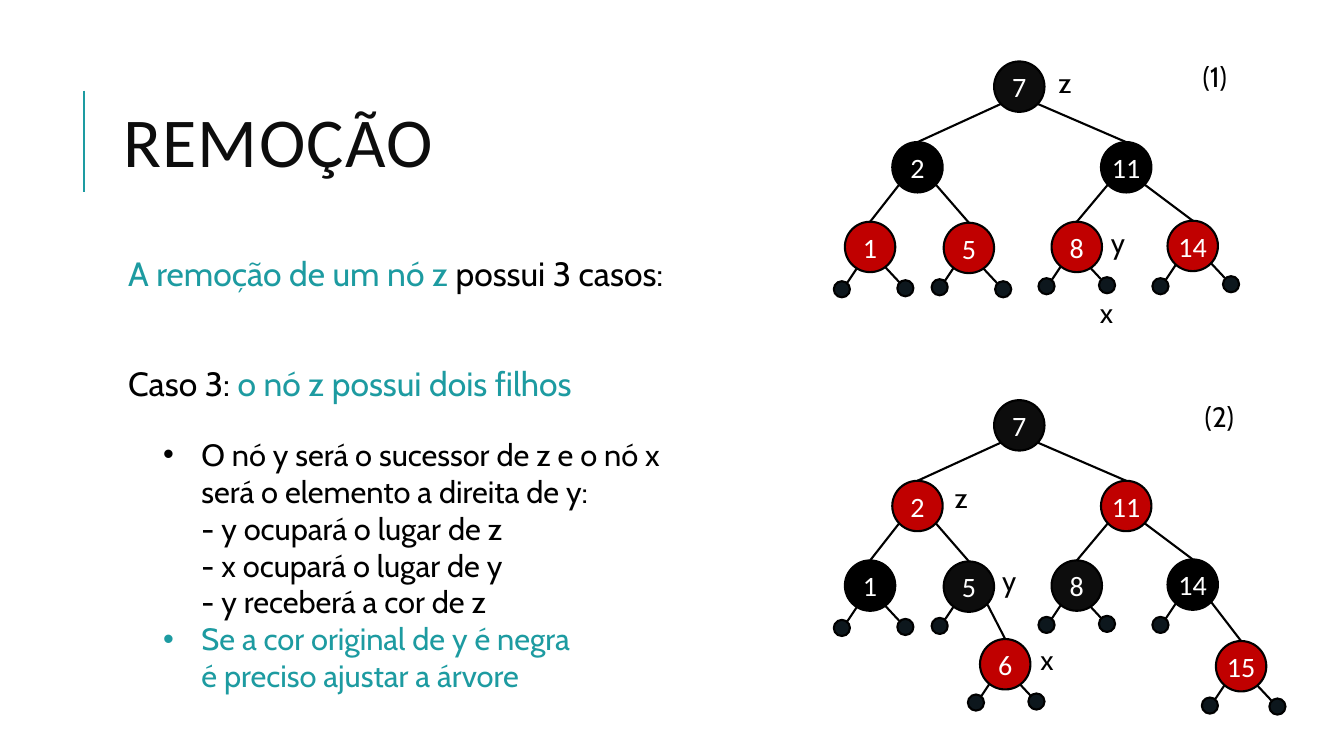
"""Builds the slide on removing a node with two children from a red-black tree."""
from dataclasses import dataclass

from lxml import etree
from pptx import Presentation
from pptx.dml.color import RGBColor
from pptx.enum.shapes import MSO_CONNECTOR, MSO_SHAPE
from pptx.enum.text import MSO_ANCHOR, MSO_AUTO_SIZE, PP_ALIGN
from pptx.oxml.ns import qn
from pptx.util import Inches, Pt

STRAIGHT = MSO_CONNECTOR.STRAIGHT
OVAL = MSO_SHAPE.OVAL
TOP, MIDDLE = MSO_ANCHOR.TOP, MSO_ANCHOR.MIDDLE
NO_FIT, GROW = MSO_AUTO_SIZE.NONE, MSO_AUTO_SIZE.SHAPE_TO_FIT_TEXT
LEFT, CENTER = PP_ALIGN.LEFT, PP_ALIGN.CENTER


@dataclass(frozen=True)
class Theme:
    """Colours, fonts and type sizes of the slide."""
    accent: str = "1D9BA1"
    title: str = "0D0D0D"
    text: str = "000000"
    white: str = "FFFFFF"
    red: str = "C00000"
    black: str = "000000"
    soft_black: str = "0D0D0D"
    leaf: str = "0D171D"
    head_font: str = "Calibri"
    body_font: str = "Cabin"
    title_size: int = 50
    body_size: int = 24
    list_size: int = 22
    label_size: int = 20
    line_width: float = 1.5


THEME = Theme()
RED, BLACK, SOFT = THEME.red, THEME.black, THEME.soft_black
NODE, DOT, TREE_STEP = 0.5, 0.16, 3.36

POSITIONS = {
    7: (9.86, 0.61), 2: (8.85, 1.41), 11: (10.92, 1.41),
    1: (8.38, 2.2), 5: (9.36, 2.21), 8: (10.43, 2.2), 14: (11.58, 2.19),
    6: (9.72, 2.98), 15: (12.06, 3.0),
}
LEAVES = {
    1: ((-0.11, 0.59), (0.52, 0.58)), 5: ((-0.12, 0.56), (0.51, 0.58)),
    8: ((-0.13, 0.56), (0.47, 0.55)), 14: ((-0.15, 0.57), (0.55, 0.55)),
    6: ((-0.12, 0.55), (0.48, 0.54)), 15: ((-0.14, 0.56), (0.53, 0.57)),
}
CHILDREN = {7: (2, 11), 2: (1, 5), 11: (8, 14)}
TREES = [
    ({7: SOFT, 2: BLACK, 11: BLACK, 1: RED, 5: RED, 8: RED, 14: RED},
     CHILDREN,
     [("z", 10.4, 0.6), ("y", 10.92, 2.19), ("x", 10.81, 2.88)]),
    ({7: SOFT, 2: RED, 11: RED, 1: BLACK, 5: SOFT, 8: SOFT, 14: BLACK,
      6: RED, 15: RED},
     {**CHILDREN, 5: (None, 6), 14: (None, 15)},
     [("z", 9.37, 4.72), ("y", 9.84, 5.54), ("x", 10.22, 6.32)]),
]
STEPS = [("(1)", 11.83, 0.54), ("(2)", 11.85, 3.91)]

CASES = [
    [("A remoção de um nó z ", THEME.accent), ("possui 3 casos:", THEME.text)],
    [("Caso 3: ", THEME.text), ("o nó z possui dois filhos", THEME.accent)],
]
RULES = [
    ("O nó y será o sucessor de z e o nó x será o elemento a direita de y:"
     "\v- y ocupará o lugar de z\v- x ocupará o lugar de y"
     "\v- y receberá a cor de z", THEME.text),
    ("Se a cor original de y é negra \vé preciso ajustar a árvore", THEME.accent),
]


class SlideBuilder:
    """Draws styled elements on one slide."""

    def __init__(self, slide, theme):
        self.slide, self.theme = slide, theme

    def style(self, r, size, font, color):
        """Formats one run."""
        r.font.size, r.font.name = Pt(size), font
        r.font.color.rgb = RGBColor.from_string(color)

    def place(self, sp, x, y, w, h):
        """Moves and sizes a placeholder."""
        sp.left, sp.top, sp.width, sp.height = map(Inches, (x, y, w, h))
        sp.text_frame.auto_size = NO_FIT
        sp.text_frame.word_wrap = True

    def indent(self, p, margin, hanging, bullet=None):
        """Sets the indent and bullet of a paragraph."""
        pPr = p._p.get_or_add_pPr()
        pPr.set("marL", str(Inches(margin)))
        pPr.set("indent", str(-Inches(hanging)))
        if bullet:
            etree.SubElement(pPr, qn("a:buFont")).set("typeface", "Arial")
            etree.SubElement(pPr, qn("a:buChar")).set("char", bullet)
        else:
            etree.SubElement(pPr, qn("a:buNone"))

    def title(self, text):
        """Fills the title placeholder."""
        t, sp = self.theme, self.slide.shapes.title
        self.place(sp, 1.12, 0.64, 10.63, 1.64)
        sp.text_frame.text = text
        sp.text_frame.vertical_anchor = MIDDLE
        p = sp.text_frame.paragraphs[0]
        p.alignment, p.line_spacing = LEFT, 0.8
        r = p.runs[0]
        self.style(r, t.title_size, t.head_font, t.title)
        r.font._element.set("spc", "100")

    def body(self, rows):
        """Fills the body placeholder with two-coloured lines."""
        t, sp = self.theme, self.slide.placeholders[1]
        self.place(sp, 1.12, 2.5, 10.63, 4.4)
        tf = sp.text_frame
        tf.vertical_anchor = TOP
        tf.margin_left = tf.margin_right = Inches(0.05)
        tf.margin_top = tf.margin_bottom = Inches(0.05)
        for i, row in enumerate(rows):
            p = tf.add_paragraph() if i else tf.paragraphs[0]
            self.indent(p, 0.1, 0)
            p.line_spacing, p.space_after = 0.9, Pt(2)
            p.space_before = Pt(51 if i else 0)
            for text, color in row:
                r = p.add_run()
                r.text = text
                self.style(r, t.body_size, t.body_font, color)

    def bullets(self, x, y, w, h, items):
        """Adds a bulleted text box."""
        t = self.theme
        tf = self.slide.shapes.add_textbox(*map(Inches, (x, y, w, h))).text_frame
        tf.word_wrap = True
        for i, (text, color) in enumerate(items):
            p = tf.add_paragraph() if i else tf.paragraphs[0]
            p.text = text
            self.indent(p, 0.38, 0.38, "•")
            for r in p.runs:
                self.style(r, t.list_size, t.body_font, color)

    def line(self, shapes, x1, y1, x2, y2, color):
        """Adds a straight line."""
        cx = shapes.add_connector(STRAIGHT, *map(Inches, (x1, y1, x2, y2)))
        cx.line.color.rgb = RGBColor.from_string(color)
        cx.line.width = Pt(self.theme.line_width)
        etree.SubElement(cx._element.spPr, qn("a:effectLst"))

    def circle(self, shapes, x, y, size, fill, text=""):
        """Adds a tree node or leaf."""
        t = self.theme
        sp = shapes.add_shape(OVAL, *map(Inches, (x, y, size, size)))
        sp.shadow.inherit = False
        sp.fill.solid()
        sp.fill.fore_color.rgb = RGBColor.from_string(fill)
        sp.line.color.rgb = RGBColor.from_string(t.black)
        sp.line.width = Pt(t.line_width)
        if text:
            tf = sp.text_frame
            tf.margin_left = tf.margin_right = tf.margin_top = tf.margin_bottom = 0
            tf.vertical_anchor = MIDDLE
            tf.text = text
            tf.paragraphs[0].alignment = CENTER
            self.style(tf.paragraphs[0].runs[0], t.label_size, t.head_font, t.white)

    def label(self, shapes, text, x, y, w=0.34):
        """Adds a short unwrapped label."""
        t = self.theme
        tf = shapes.add_textbox(*map(Inches, (x, y, w, 0.44))).text_frame
        tf.word_wrap, tf.auto_size = False, GROW
        tf.text = text
        self.style(tf.paragraphs[0].runs[0], t.label_size, t.body_font, t.text)

    def tree(self, dy, colors, children, labels):
        """Adds one grouped tree with its edges, leaves and labels."""
        t, shapes = self.theme, self.slide.shapes.add_group_shape().shapes
        for key, fill in colors.items():
            x, y = POSITIONS[key][0], POSITIONS[key][1] + dy
            for side, child in enumerate(children.get(key, (None, None))):
                if child:
                    cx, cy = POSITIONS[child]
                    self.line(shapes, x + (0.07, 0.43)[side], y + 0.42,
                              cx + NODE / 2, cy + dy, t.black)
                else:
                    dx, down = LEAVES[key][side]
                    lx, ly = x + dx, y + down
                    start, end = ((0.23, 0.13), (-0.12, 0.02))[side]
                    self.line(shapes, lx + start, ly - 0.13, lx + end, ly + 0.02, t.black)
                    self.circle(shapes, lx, ly, DOT, t.leaf)
            self.circle(shapes, x, y, NODE, fill, str(key))
        for text, x, y in labels:
            self.label(shapes, text, x, y)


def main():
    """Builds and saves the slide."""
    prs = Presentation()
    prs.slide_width, prs.slide_height = Inches(13.33), Inches(7.5)
    s = SlideBuilder(prs.slides.add_slide(prs.slide_layouts[1]), THEME)
    s.line(s.slide.shapes, 0.83, 0.9, 0.83, 1.9, THEME.accent)
    s.title("REMOÇÃO")
    s.body(CASES)
    s.bullets(1.52, 4.27, 5.37, 2.69, RULES)
    for i, (colors, children, labels) in enumerate(TREES):
        s.tree(i * TREE_STEP, colors, children, labels)
    for text, x, y in STEPS:
        s.label(s.slide.shapes, text, x, y, 0.51)
    prs.save("out.pptx")


if __name__ == "__main__":
    main()
